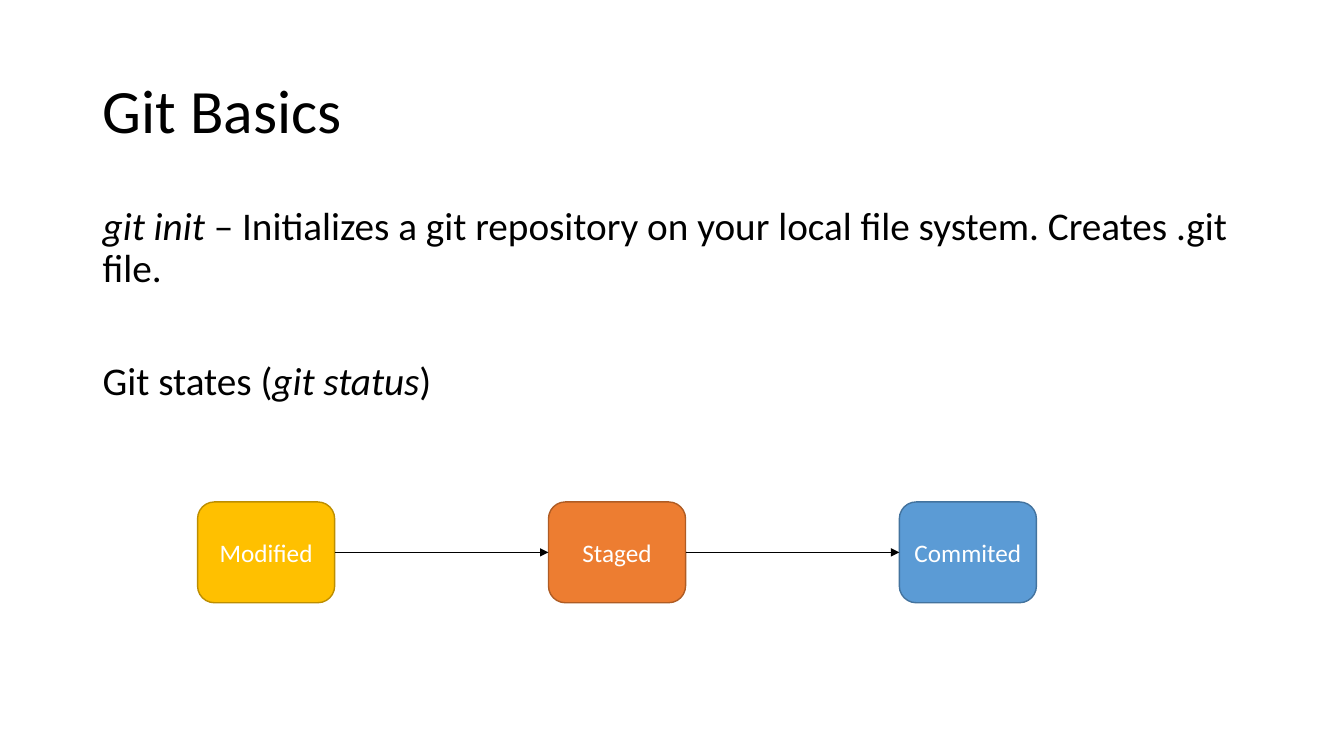
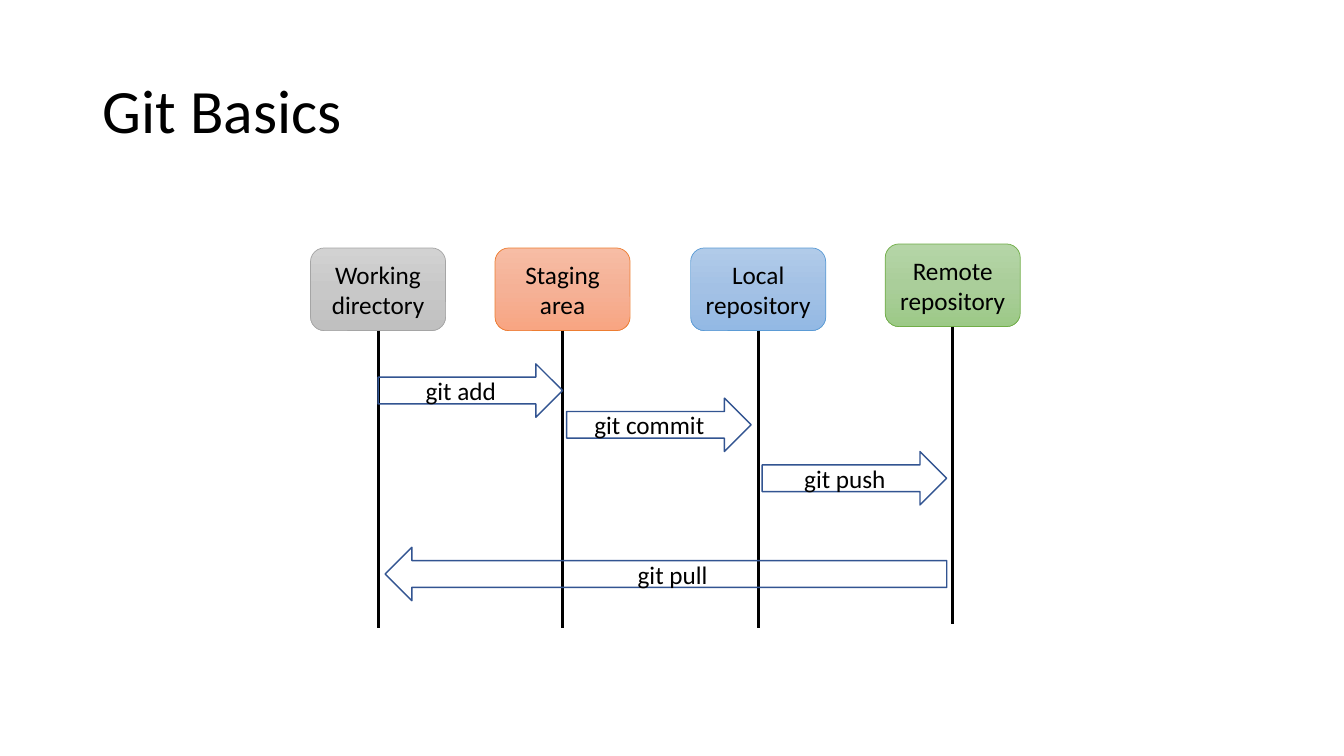
import copy
from dataclasses import dataclass

from lxml import etree
from pptx import Presentation
from pptx import util as u
from pptx.dml.color import RGBColor
from pptx.enum import shapes, text
from pptx.oxml.ns import qn

PX = 9144
SHAPE = shapes.MSO_SHAPE


@dataclass(frozen=True)
class Theme:
    font: str = "Calibri"
    ink: str = "000000"
    light: str = "FFFFFF"
    arrow: str = "325491"
    title: int = 44
    body: int = 28
    label: int = 18
    outline: float = 1
    hairline: float = 0.5
    lifeline: float = 2.25


T = Theme()
CONTENT = (92, 200, 1150, 476)
TITLE = (92, 40, 1150, 145)
STATES = [
    ("Modified", "FFC000", "BD8E00"),
    ("Staged", "ED7D31", "AF5C24"),
    ("Commited", "5B9BD5", "43739E"),
]
LANES = [
    ("Working directory", 0, 4, ("D2D2D2", "C8C8C8", "C0C0C0"), "A5A5A5"),
    ("Staging area", 183, 4, ("F7BDA5", "F5B196", "F8A582"), "ED7D31"),
    ("Local repository", 377, 4, ("B1CBE9", "A3C1E5", "93B9E4"), "5B9BD5"),
    ("Remote repository", 570, 0, ("B5D5A7", "AACE9A", "9CC987"), "70AD47"),
]
COMMANDS = [
    ("git add ", SHAPE.RIGHT_ARROW, 67, 119, 183),
    ("git commit ", SHAPE.RIGHT_ARROW, 254, 153, 183),
    ("git push ", SHAPE.RIGHT_ARROW, 448, 206, 183),
    ("git pull", SHAPE.LEFT_ARROW, 74, 301, 557),
]


def assign(obj, **values):
    for name, value in values.items():
        setattr(obj, name, value)


def emu(*lengths):
    return [u.Emu(n * PX) for n in lengths]


def rgb(value):
    return RGBColor.from_string(value)


def add_run(p, words, size, color=T.ink, italic=False):
    r = p.add_run()
    r.text = words
    assign(r.font, name=T.font, size=u.Pt(size), italic=italic)
    r.font.color.rgb = rgb(color)


def set_line(sp, color, width):
    sp.line.color.rgb = rgb(color)
    sp.line.width = u.Pt(width)


def set_fill(sp, fill):
    if fill is None:
        sp.fill.background()
    elif isinstance(fill, str):
        sp.fill.solid()
        sp.fill.fore_color.rgb = rgb(fill)
    else:
        sp.fill.gradient()
        sp.fill.gradient_angle = 270
        gs = sp._element.spPr.find(".//" + qn("a:gs"))
        gs.addnext(copy.deepcopy(gs))
        for i, (stop, color) in enumerate(zip(sp.fill.gradient_stops, fill)):
            stop.position = i / 2
            stop.color.rgb = rgb(color)


def add_box(slide, kind, box, words, fill, line, width, color=T.ink):
    sp = slide.shapes.add_shape(kind, *emu(*box))
    sp.shadow.inherit = False
    set_fill(sp, fill)
    set_line(sp, line, width)
    tf = sp.text_frame
    assign(tf, word_wrap=True, vertical_anchor=text.MSO_ANCHOR.MIDDLE)
    p = tf.paragraphs[0]
    p.alignment = text.PP_ALIGN.CENTER
    add_run(p, words, T.label, color)
    return sp


def add_line(slide, ends, width, arrow=False):
    line = slide.shapes.add_connector(shapes.MSO_CONNECTOR.STRAIGHT, *emu(*ends))
    set_line(line, T.ink, width)
    spPr = line._element.spPr
    if arrow:
        etree.SubElement(spPr.find(qn("a:ln")), qn("a:tailEnd"), type="triangle")
    etree.SubElement(spPr, qn("a:effectLst"))
    return line


def add_titled_slide(prs, title):
    slide = prs.slides.add_slide(prs.slide_layouts[5])
    sp = slide.shapes.title
    left, top, width, height = emu(*TITLE)
    assign(sp, left=left, top=top, width=width, height=height)
    tf = sp.text_frame
    assign(tf, vertical_anchor=text.MSO_ANCHOR.MIDDLE, auto_size=text.MSO_AUTO_SIZE.NONE)
    p = tf.paragraphs[0]
    assign(p, alignment=text.PP_ALIGN.LEFT, line_spacing=0.9)
    add_run(p, title, T.title)
    return slide


def add_body(slide, box, paragraphs):
    tf = slide.shapes.add_textbox(*emu(*box)).text_frame
    tf.word_wrap = True
    for i, (before, runs) in enumerate(paragraphs):
        p = tf.add_paragraph() if i else tf.paragraphs[0]
        assign(p, line_spacing=0.9, space_before=u.Pt(before))
        for words, italic in runs:
            add_run(p, words, T.body, italic=italic)


def add_state_flow(slide, box):
    left, top, width, height = box
    w = 136
    step = (width - w) // (len(STATES) - 1)
    mid = top + height // 2
    previous = None
    for i, (words, fill, line) in enumerate(STATES):
        x = left + i * step
        state = add_box(slide, SHAPE.ROUNDED_RECTANGLE, (x, top, w, height),
                        words, fill, line, T.outline, T.light)
        if previous is not None:
            link = add_line(slide, (x - step + w, mid, x, mid), T.hairline, arrow=True)
            link.begin_connect(previous, 3)
            link.end_connect(state, 1)
        previous = state


def add_swimlanes(slide, box):
    left, top, width, height = box
    w, h = 134, 82
    length = height - h - 4
    for words, dx, dy, fill, line in LANES:
        x, y = left + dx, top + dy
        add_box(slide, SHAPE.ROUNDED_RECTANGLE, (x, y, w, h),
                words, fill, line, T.hairline)
        mid = x + w // 2
        add_line(slide, (mid, y + h, mid, y + h + length), T.lifeline)
    for words, kind, dx, dy, span in COMMANDS:
        add_box(slide, kind, (left + dx, top + dy, span, 53),
                words, None, T.arrow, T.outline)


def build_states_slide(prs):
    slide = add_titled_slide(prs, "Git Basics")
    add_body(slide, CONTENT, [
        (10, [("git init ", True),
              ("– Initializes a git repository on your local file system. "
               "Creates .git file.", False)]),
        (50, [("Git states (", False), ("git status", True), (")", False)]),
    ])
    add_state_flow(slide, (196, 498, 832, 100))


def build_commands_slide(prs):
    slide = add_titled_slide(prs, "Git Basics")
    add_swimlanes(slide, (308, 242, 704, 381))


def main():
    prs = Presentation()
    prs.slide_width, prs.slide_height = u.Inches(13.33), u.Inches(7.5)
    build_states_slide(prs)
    build_commands_slide(prs)
    prs.save("out.pptx")


if __name__ == "__main__":
    main()
